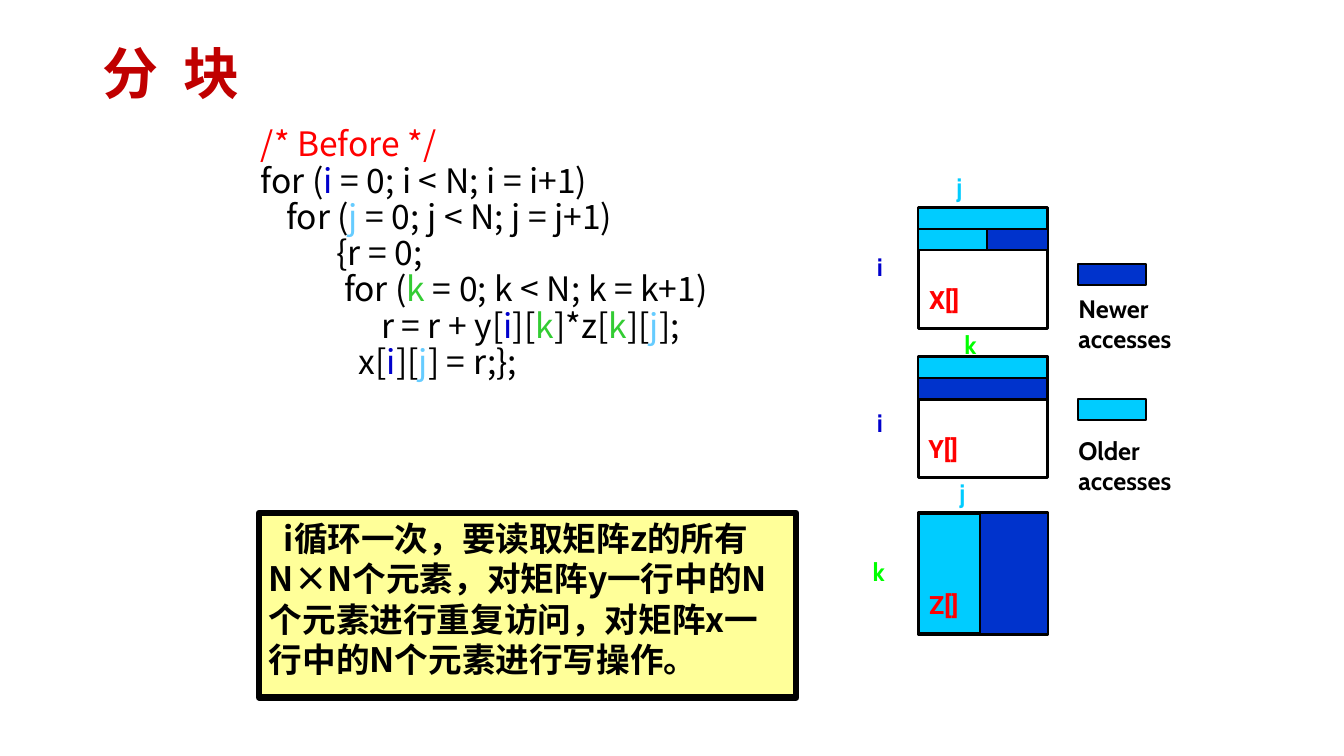
"""Build the slide on loop blocking: code before blocking and its matrix accesses."""
from dataclasses import dataclass
from typing import Optional

from pptx import Presentation
from pptx.dml.color import RGBColor
from pptx.enum.shapes import MSO_SHAPE
from pptx.enum.text import MSO_ANCHOR, MSO_AUTO_SIZE, PP_ALIGN
from pptx.util import Pt


@dataclass(frozen=True)
class Theme:
    title: str = "C00000"
    red: str = "FF0000"
    black: str = "000000"
    note: str = "FFFF99"
    i: str = "0000CC"
    j_code: str = "66CCFF"
    k_code: str = "33CC33"
    k: str = "00FF00"
    older: str = "00CCFF"
    newer: str = "0033CC"
    cjk: str = "Noto Sans CJK SC"
    label: str = "Cabin"
    matrix: str = "Roboto"
    title_size: float = 40
    text_size: float = 24
    label_size: float = 18


@dataclass(frozen=True)
class Run:
    text: str
    color: str
    spacing: float = 0


@dataclass(frozen=True)
class Style:
    font: str
    size: float
    bold: bool = True


@dataclass(frozen=True)
class Block:
    x: float
    y: float
    w: float
    h: float
    fill: Optional[str] = None
    line: float = 1.5


@dataclass(frozen=True)
class Label:
    x: float
    y: float
    w: float
    lines: tuple[str, ...]
    color: str
    font: str


T = Theme()
TITLE = Style(T.cjk, T.title_size)
CODE = Style(T.cjk, T.text_size, False)
NOTE = Style(T.cjk, T.text_size)

LEFT, WIDTH, HEIGHT = 656, 92.3, 86.4
X_TOP, Y_TOP, Z_TOP = 148.3, 255, 366.5
STRIP, PART = 15.2, 49
SPLIT = LEFT + 43.7
KEY = 769.7

PANELS = [
    Block(LEFT, Z_TOP, PART, HEIGHT, T.older),
    *(Block(LEFT, top, WIDTH, HEIGHT, line=2.25) for top in (X_TOP, Z_TOP, Y_TOP)),
]
LABELS = [
    Label(656.6, 199.4, 46.8, ("X[]",), T.red, T.matrix),
    Label(619.2, 175.7, 20.2, ("i",), T.i, T.label),
    Label(676, 118.8, 20.9, ("j",), T.older, T.label),
    Label(656, 306, 46.8, ("Y[]",), T.red, T.matrix),
    Label(619.2, 287.3, 20.2, ("i",), T.i, T.label),
    Label(681.8, 231.8, 25.2, ("k",), T.k, T.label),
    Label(656.6, 417.6, 46.8, ("Z[]",), T.red, T.matrix),
    Label(616.3, 393.8, 25.2, ("k",), T.k, T.label),
    Label(678.2, 337.7, 20.9, ("j",), T.older, T.label),
]
ACCESSES = [
    Block(LEFT, X_TOP, WIDTH, STRIP, T.older),
    Block(LEFT, Y_TOP, WIDTH, STRIP, T.older),
    Block(LEFT, Y_TOP + STRIP, WIDTH, STRIP, T.newer),
    Block(SPLIT, X_TOP + STRIP, PART, STRIP, T.newer),
    Block(LEFT, X_TOP + STRIP, PART, STRIP, T.older),
    Block(SPLIT, Z_TOP, PART, HEIGHT, T.newer),
    Block(KEY, 188.6, PART, STRIP, T.newer),
    Block(KEY, 285.1, PART, STRIP, T.older),
]
KEY_LABELS = [
    Label(763.2, 205.9, 93.6, ("Newer", "accesses"), T.black, T.label),
    Label(763.2, 307.4, 93.6, ("Older", "accesses"), T.black, T.label),
]

I, J, K = Run("i", T.i), Run("j", T.j_code), Run("k", T.k_code)
CODE_LINES = [
    [Run("/* Before */", T.red)],
    ["for (", I, " = 0; i < N; i = i+1)"],
    ["\tfor (", J, " = 0; j < N; j = j+1)"],
    ["\t\t{r = 0;"],
    ["\t\t for (", K, " = 0; k < N; k = k+1)"],
    ["                r = r + y[", I, "][", K, "]*z[", K, "][", J, "];"],
    ["             x[", I, "][", J, "] = r;};"],
]
NOTE_TEXT = ("i循环一次，要读取矩阵z的所有N×N个元素，对矩阵y一行中的N个元素"
             "进行重复访问，对矩阵x一行中的N个元素进行写操作。")


def rgb(color: str) -> RGBColor:
    """Turn a hex string into a colour."""
    return RGBColor.from_string(color)


def add_run(p, run: Run | str, style: Style) -> None:
    """Append one styled run; a plain string is black."""
    run = Run(run, T.black) if isinstance(run, str) else run
    r = p.add_run()
    r.text = run.text
    r.font.name, r.font.size, r.font.bold = style.font, Pt(style.size), style.bold
    r.font.color.rgb = rgb(run.color)
    rPr = r.font._element
    if run.spacing:
        rPr.set("spc", str(int(run.spacing * 100)))
    ea = rPr.makeelement(
        "{http://schemas.openxmlformats.org/drawingml/2006/main}ea", {"typeface": style.font})
    rPr.append(ea)


def fill_text(tf, lines: list, style: Style, margin: float = 0, indent: float = 0,
              spacing: Optional[float] = None, align: PP_ALIGN = PP_ALIGN.LEFT) -> None:
    """Write lines of runs as paragraphs."""
    for n, line in enumerate(lines):
        p = tf.paragraphs[0] if n == 0 else tf.add_paragraph()
        p.alignment = align
        if spacing:
            p.line_spacing = spacing
        pPr = p._p.get_or_add_pPr()
        pPr.set("marL", str(Pt(margin)))
        pPr.set("indent", str(Pt(indent)))
        for run in line:
            add_run(p, run, style)


def add_box(s, x: float, y: float, w: float, h: float, wrap: bool = True):
    """Add a text box and return its text frame."""
    tf = s.shapes.add_textbox(Pt(x), Pt(y), Pt(w), Pt(h)).text_frame
    tf.word_wrap = wrap
    return tf


def add_block(s, block: Block):
    """Draw an outlined rectangle."""
    sp = s.shapes.add_shape(MSO_SHAPE.RECTANGLE, Pt(block.x), Pt(block.y),
                            Pt(block.w), Pt(block.h))
    sp.shadow.inherit = False
    if block.fill:
        sp.fill.solid()
        sp.fill.fore_color.rgb = rgb(block.fill)
    else:
        sp.fill.background()
    sp.line.color.rgb = rgb(T.black)
    sp.line.width = Pt(block.line)
    return sp


def add_label(s, label: Label) -> None:
    """Draw a bold unwrapped label."""
    tf = add_box(s, label.x, label.y, label.w, 7.2 + 21.6 * len(label.lines), wrap=False)
    tf.auto_size = MSO_AUTO_SIZE.SHAPE_TO_FIT_TEXT
    align = PP_ALIGN.JUSTIFY if len(label.lines) > 1 else PP_ALIGN.LEFT
    fill_text(tf, [[Run(line, label.color)] for line in label.lines],
              Style(label.font, T.label_size), align=align)


def main() -> None:
    """Compose and save the slide."""
    prs = Presentation()
    prs.slide_width, prs.slide_height = Pt(960), Pt(540)
    s = prs.slides.add_slide(prs.slide_layouts[6])

    tf = add_box(s, 66.2, 28.8, 828, 51.8)
    tf.vertical_anchor = MSO_ANCHOR.MIDDLE
    fill_text(tf, [[Run("分", T.title), Run(" ", T.title, 9), Run("块", T.title)]],
              TITLE, spacing=0.9)

    tf = add_box(s, 179.3, 87.8, 365.8, 264.2)
    fill_text(tf, CODE_LINES, CODE, margin=18, indent=-18, spacing=0.9)

    tf = add_block(s, Block(185, 366.5, 383.8, 131.8, T.note, 4.5)).text_frame
    tf.word_wrap = True
    tf.vertical_anchor = MSO_ANCHOR.TOP
    fill_text(tf, [[NOTE_TEXT]], NOTE, indent=10.75)

    for panel in PANELS:
        add_block(s, panel)
    for label in LABELS:
        add_label(s, label)
    for access in ACCESSES:
        add_block(s, access)
    for label in KEY_LABELS:
        add_label(s, label)
    prs.save("out.pptx")


if __name__ == "__main__":
    main()
